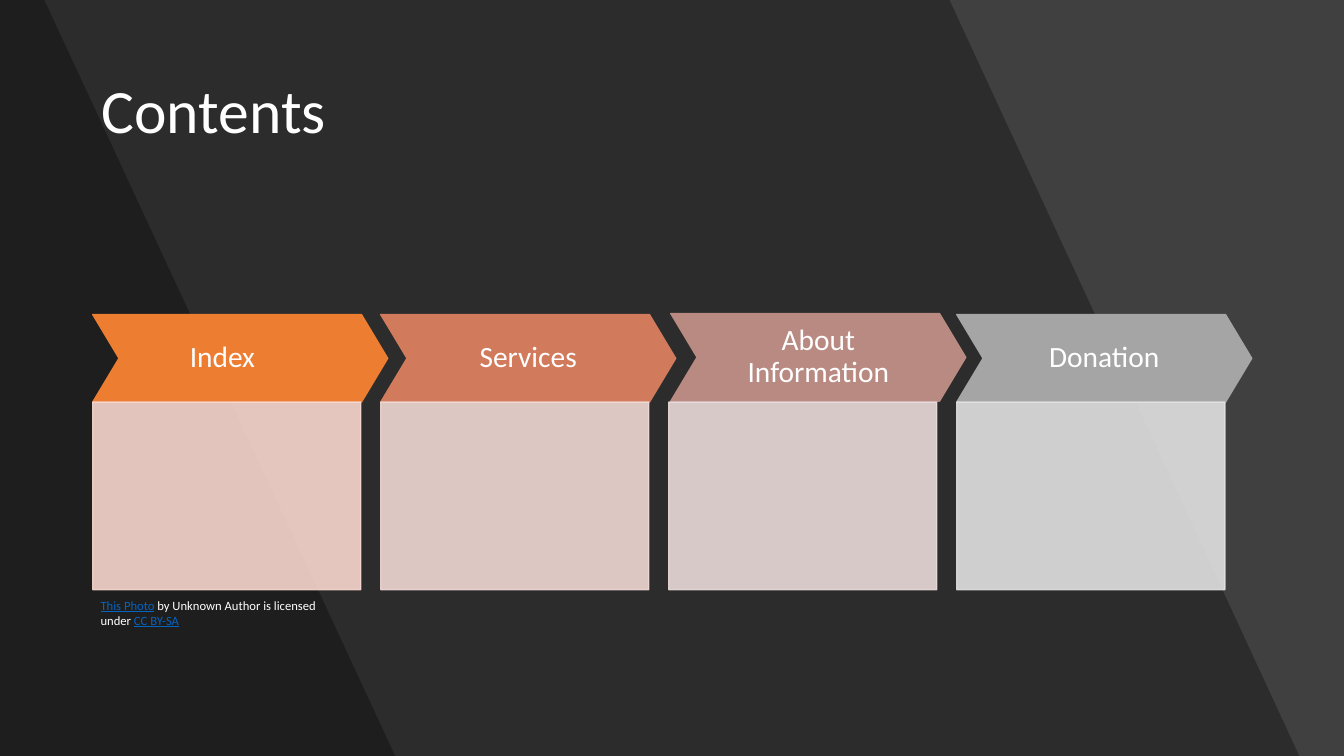
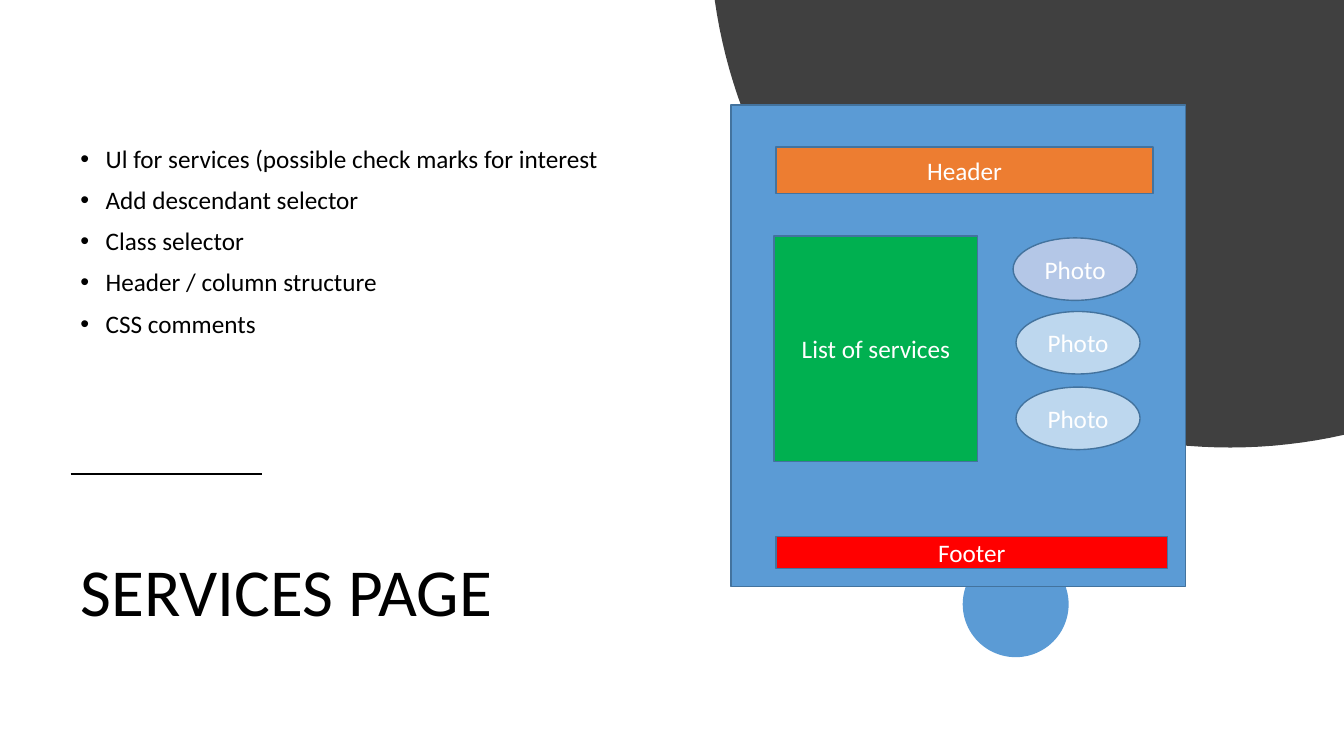
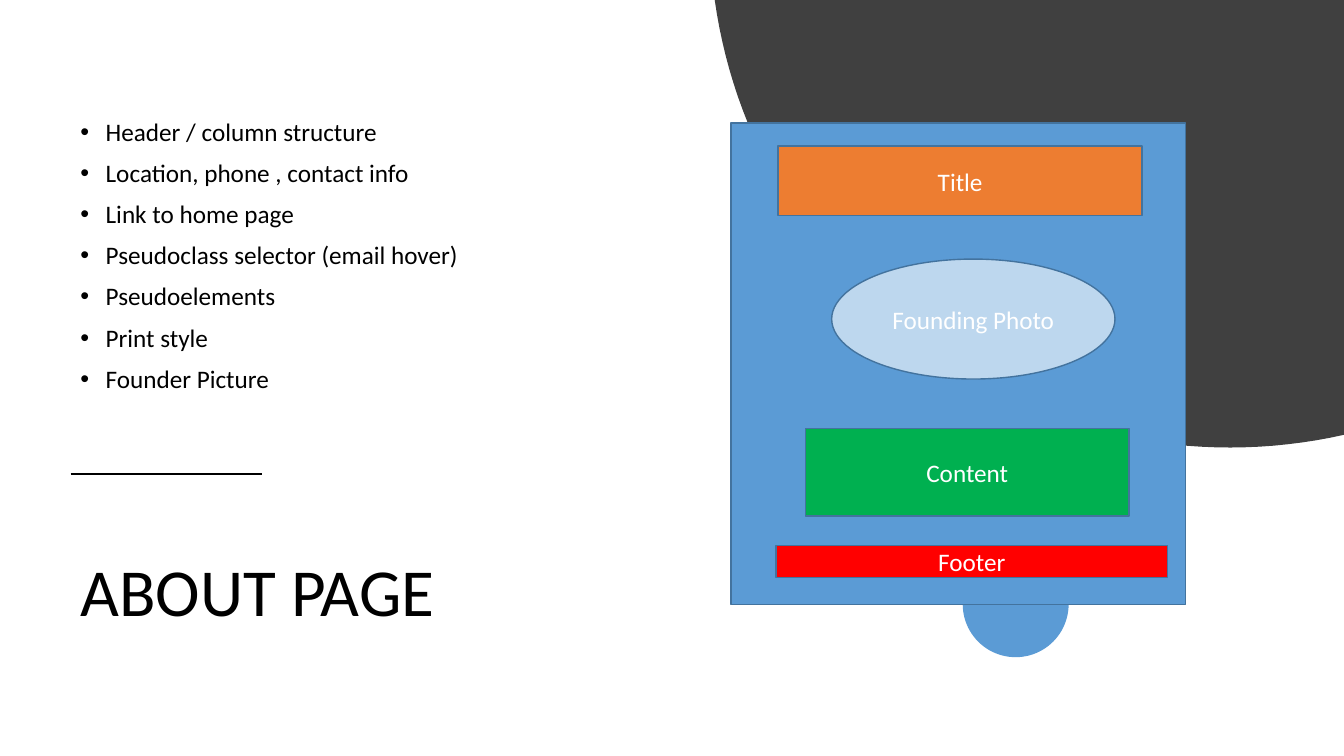
"""Builds a contents slide and two web page wireframe slides."""
import math

import lxml.etree
import pptx
import pptx.dml.color
import pptx.enum.shapes
import pptx.enum.text
import pptx.oxml.ns
import pptx.util

RGBColor = pptx.dml.color.RGBColor
SHAPE = pptx.enum.shapes.MSO_SHAPE
qn = pptx.oxml.ns.qn

WHITE = RGBColor(0xFF, 0xFF, 0xFF)
BLACK = RGBColor(0x00, 0x00, 0x00)
CHARCOAL = RGBColor(0x40, 0x40, 0x40)
LINK_BLUE = RGBColor(0x05, 0x63, 0xC1)
BLUE = RGBColor(0x5B, 0x9B, 0xD5)
BLUE_EDGE = RGBColor(0x43, 0x73, 0x9E)
PALE_BLUE = RGBColor(0xBD, 0xD7, 0xEE)
LAVENDER = RGBColor(0xB4, 0xC7, 0xE7)
ORANGE = RGBColor(0xED, 0x7D, 0x31)
CLAY = RGBColor(0xD1, 0x7B, 0x5C)
ROSE = RGBColor(0xB9, 0x8A, 0x82)
GREY = RGBColor(0xA5, 0xA5, 0xA5)
PALE_ORANGE = RGBColor(0xF8, 0xD7, 0xCE)
PALE_CLAY = RGBColor(0xF1, 0xD8, 0xD4)
PALE_ROSE = RGBColor(0xE9, 0xDB, 0xDA)
PALE_GREY = RGBColor(0xE1, 0xE1, 0xE1)
GREEN = RGBColor(0x00, 0xB0, 0x50)
RED = RGBColor(0xFF, 0x00, 0x00)

FONT = "Calibri"
WIDTH, HEIGHT = 12192000, 6858000


def add_part(slide, kind, shares, fill=None, edge=None):
    """Add a shape, or a text box if kind is None, at percent shares of the slide."""
    spot = [round(share * side / 100) for share, side in zip(shares, (WIDTH, HEIGHT) * 2)]
    if kind is None:
        part = slide.shapes.add_textbox(*spot)
    else:
        part = slide.shapes.add_shape(kind, *spot)
        part.shadow.inherit = False
        part.fill.solid()
        part.fill.fore_color.rgb = fill
        if edge is None:
            part.line.fill.background()
        else:
            part.line.color.rgb = edge
            part.line.width = pptx.util.Pt(1)
    part.text_frame.word_wrap = True
    part.text_frame.vertical_anchor = pptx.enum.text.MSO_ANCHOR.MIDDLE
    return part


def write(paragraph, text, size, color, spacing=1.0):
    """Add one run to a paragraph and return it."""
    paragraph.line_spacing = spacing
    run = paragraph.add_run()
    run.text = text
    run.font.name = FONT
    run.font.size = pptx.util.Pt(size)
    run.font.color.rgb = color
    return run


deck = pptx.Presentation()
deck.slide_width, deck.slide_height = WIDTH, HEIGHT
blank = deck.slide_layouts[6]

contents = deck.slides.add_slide(blank)
contents.background.fill.solid()
contents.background.fill.fore_color.rgb = CHARCOAL
translucent = []

for top_share, bottom_share in [(70.65, 96.68), (3.3, 29.4)]:
    outline = contents.shapes.build_freeform(0, 0)
    outline.add_line_segments(
        [(WIDTH * top_share / 100, 0), (WIDTH * bottom_share / 100, HEIGHT), (0, HEIGHT)]
    )
    band = outline.convert_to_shape()
    band.shadow.inherit = False
    band.fill.solid()
    band.fill.fore_color.rgb = BLACK
    band.line.fill.background()
    translucent.append((band, 30))

heading = add_part(contents, None, (6.83, 5.33, 86.33, 19.33))
write(heading.text_frame.paragraphs[0], "Contents", 44, WHITE, 0.9)

STEP_LEFT, STEP_PITCH = 6.9, 21.43
steps = [
    ("Index\t", ORANGE, PALE_ORANGE, 0, 0),
    ("Services", CLAY, PALE_CLAY, 0, 0),
    ("About Information", ROSE, PALE_ROSE, 0.15, -0.13),
    ("Donation", GREY, PALE_GREY, 0, 0),
]
for column, (label, strong, pale, shift_x, shift_y) in enumerate(steps):
    left = STEP_LEFT + column * STEP_PITCH
    arrow = add_part(
        contents, SHAPE.CHEVRON, (left + shift_x, 41.6 + shift_y, 21.95, 11.6), strong, strong
    )
    arrow.adjustments[0] = 0.3
    frame = arrow.text_frame
    frame.margin_left = frame.margin_right = pptx.util.Inches(0.11)
    frame.margin_top = frame.margin_bottom = pptx.util.Inches(0.11)
    write(frame.paragraphs[0], label, 21, WHITE, 0.9)
    card = add_part(contents, SHAPE.RECTANGLE, (left, 53.2, 19.95, 24.8), pale, pale)
    translucent.append((card, 90))

for part, opacity in translucent:
    for color in part.element.spPr.iter(qn("a:srgbClr")):
        lxml.etree.SubElement(color, qn("a:alpha")).set("val", str(opacity * 1000))

credit = add_part(contents, None, (6.75, 78.4, 18.68, 5.33))
for words, is_link in [
    ("This Photo", True),
    (" by Unknown Author is licensed under ", False),
    ("CC BY-SA", True),
]:
    run = write(credit.text_frame.paragraphs[0], words, 9, LINK_BLUE if is_link else WHITE)
    run.font.underline = is_link

pages = [
    (
        "SERVICES PAGE",
        46.8,
        [
            "Ul for services (possible check marks for interest",
            "Add descendant selector",
            "Class selector",
            "Header / column structure",
            "CSS comments",
        ],
        [
            ("", SHAPE.RECTANGLE, (54.38, 13.87, 33.83, 63.73), BLUE),
            ("Header", SHAPE.RECTANGLE, (57.75, 19.47, 28.05, 6.13), ORANGE),
            ("Footer", SHAPE.RECTANGLE, (57.75, 70.93, 29.1, 4.27), RED),
            ("List of services", SHAPE.RECTANGLE, (57.6, 31.2, 15.15, 29.87), GREEN),
            ("Photo", SHAPE.OVAL, (75.38, 31.47, 9.23, 8.27), LAVENDER),
            ("Photo", SHAPE.OVAL, (75.6, 41.2, 9.23, 8.27), PALE_BLUE),
            ("Photo", SHAPE.OVAL, (75.6, 51.2, 9.23, 8.27), PALE_BLUE),
        ],
    ),
    (
        "ABOUT PAGE",
        50.53,
        [
            "Header / column structure",
            "Location, phone , contact info",
            "Link to home page",
            "Pseudoclass selector (email hover)",
            "Pseudoelements",
            "Print style",
            "Founder Picture",
        ],
        [
            ("", SHAPE.RECTANGLE, (54.38, 16.27, 33.83, 63.73), BLUE),
            ("Title", SHAPE.RECTANGLE, (57.9, 19.33, 27.08, 9.2), ORANGE),
            ("Founding Photo", SHAPE.OVAL, (61.88, 34.27, 21.08, 15.87), PALE_BLUE),
            ("Content", SHAPE.RECTANGLE, (59.93, 56.67, 24.08, 11.6), GREEN),
            ("Footer", SHAPE.RECTANGLE, (57.75, 72.13, 29.1, 4.27), RED),
        ],
    ),
]

DISC_X, DISC_Y, DISC_RADIUS = 0.915 * WIDTH, -0.054 * WIDTH, 0.387 * WIDTH
ARC_START = math.asin((WIDTH - DISC_X) / DISC_RADIUS)
ARC_END = -math.acos(-DISC_Y / DISC_RADIUS)
ARC_STEPS = 60
arc = []
for step in range(ARC_STEPS + 1):
    angle = ARC_START + (ARC_END - ARC_START) * step / ARC_STEPS
    arc.append((DISC_X + DISC_RADIUS * math.sin(angle), DISC_Y + DISC_RADIUS * math.cos(angle)))

for title, list_height, points, wireframe in pages:
    page = deck.slides.add_slide(blank)
    page.background.fill.solid()
    page.background.fill.fore_color.rgb = WHITE

    rule_y = round(HEIGHT * 0.6267)
    rule = page.shapes.add_connector(
        pptx.enum.shapes.MSO_CONNECTOR.STRAIGHT,
        round(WIDTH * 0.0525), rule_y, round(WIDTH * 0.195), rule_y,
    )
    rule.line.color.rgb = BLACK
    rule.line.width = pptx.util.Pt(1.5)
    lxml.etree.SubElement(rule.element.spPr, qn("a:effectLst"))

    add_part(page, SHAPE.OVAL, (71.63, 72.93, 7.88, 14), BLUE)
    outline = page.shapes.build_freeform(WIDTH, 0)
    outline.add_line_segments(arc)
    disc = outline.convert_to_shape()
    disc.shadow.inherit = False
    disc.fill.solid()
    disc.fill.fore_color.rgb = CHARCOAL
    disc.line.fill.background()

    heading = add_part(page, None, (5.25, 66, 60.75, 25.33))
    write(heading.text_frame.paragraphs[0], title, 48, BLACK, 0.9)

    features = add_part(page, None, (5.25, 8.67, 46.58, list_height)).text_frame
    for index, point in enumerate(points):
        paragraph = features.add_paragraph() if index else features.paragraphs[0]
        write(paragraph, point, 18, BLACK, 0.9)
        paragraph.space_before = pptx.util.Pt(10)
        settings = paragraph._p.get_or_add_pPr()
        settings.set("marL", str(pptx.util.Inches(0.25)))
        settings.set("indent", str(-pptx.util.Inches(0.25)))
        lxml.etree.SubElement(settings, qn("a:buFont")).set("typeface", "Arial")
        lxml.etree.SubElement(settings, qn("a:buChar")).set("char", "•")

    for label, kind, shares, fill in wireframe:
        block = add_part(page, kind, shares, fill, BLUE_EDGE)
        if label:
            write(block.text_frame.paragraphs[0], label, 18, WHITE)

deck.save("out.pptx")
